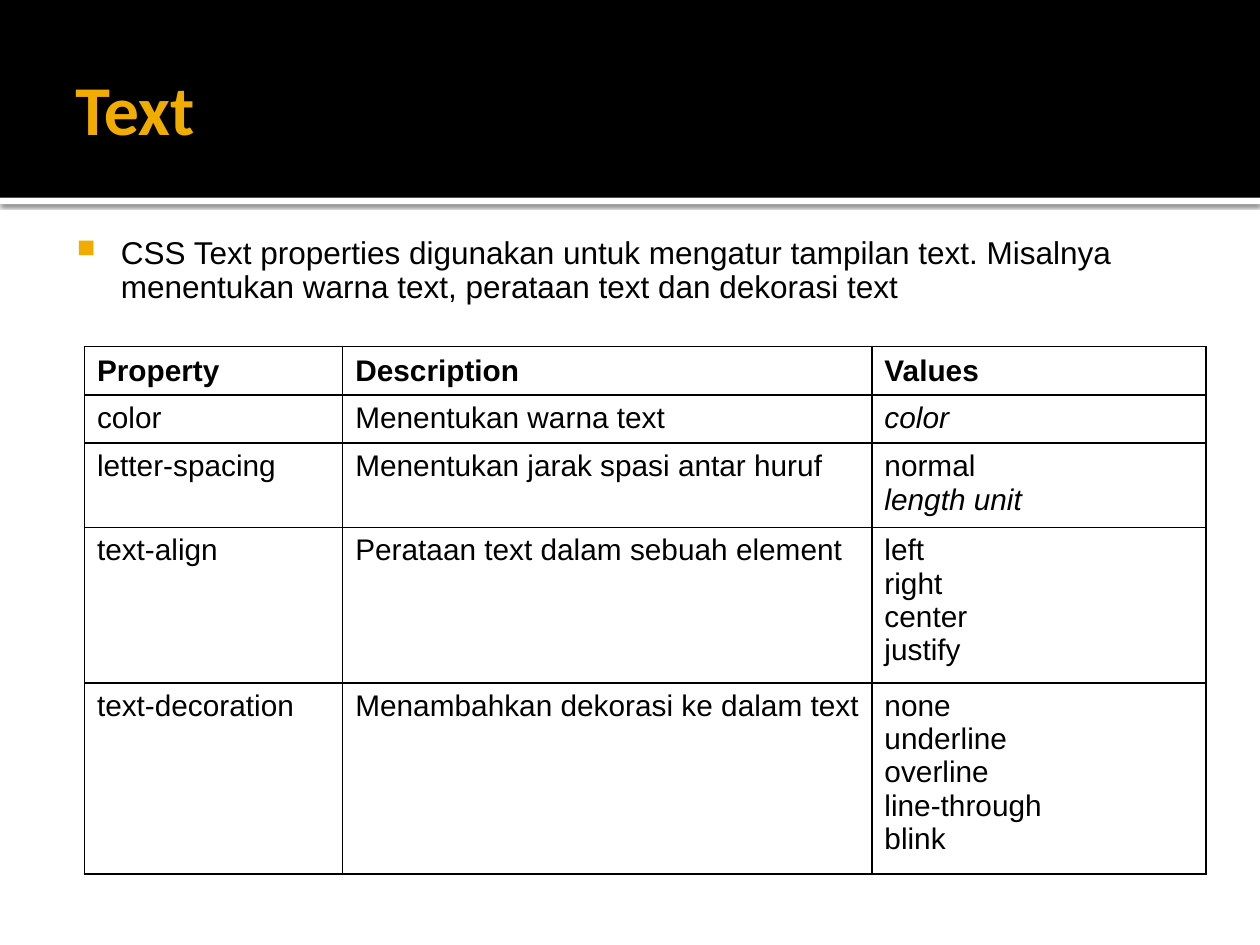
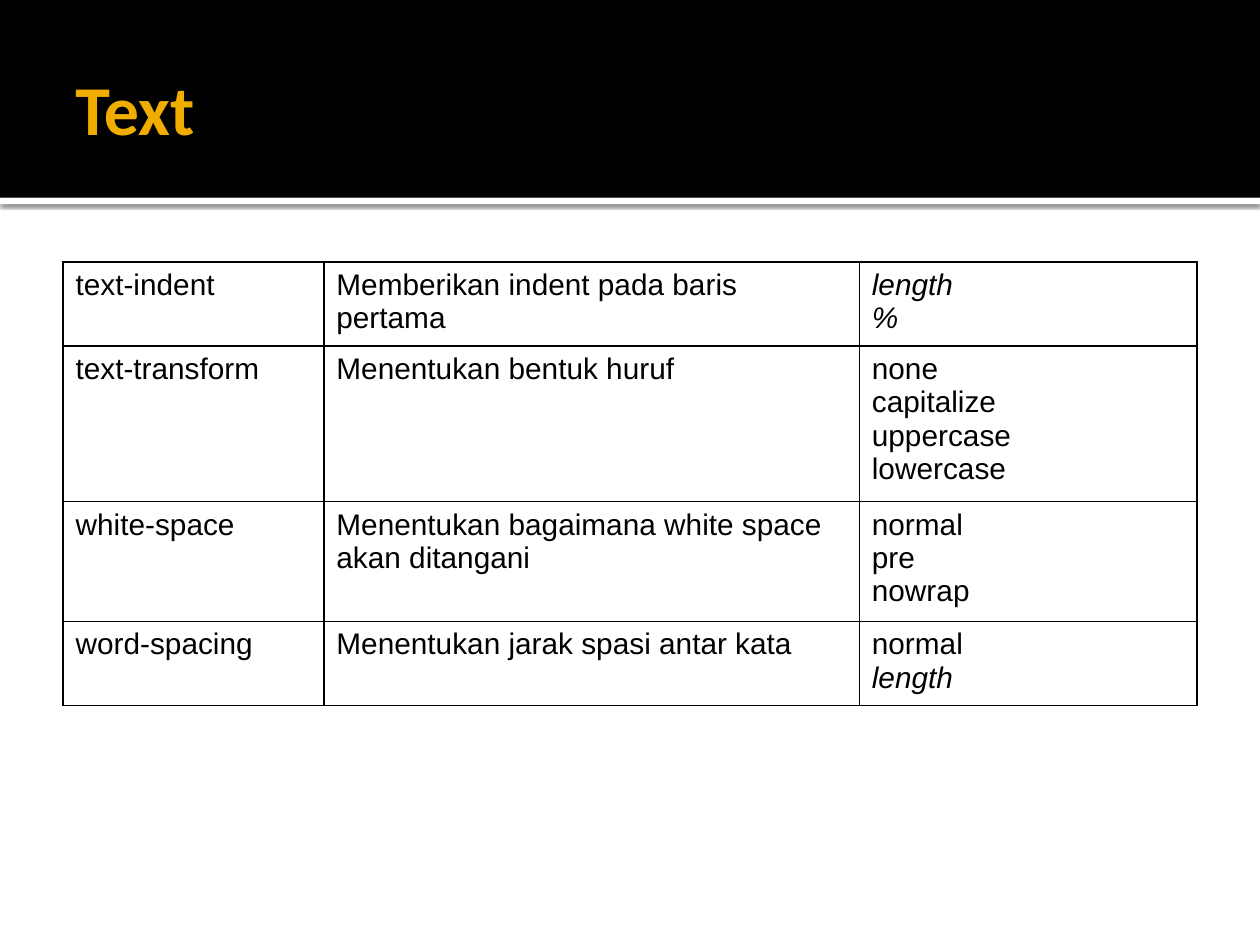
from dataclasses import dataclass

from pptx import Presentation
from pptx.dml.color import RGBColor
from pptx.enum.shapes import MSO_SHAPE as Shape
from pptx.enum.text import MSO_ANCHOR as Anchor
from pptx.oxml import parse_xml
from pptx.oxml.ns import nsdecls
from pptx.util import Emu, Inches, Pt


@dataclass(frozen=True)
class Theme:
    """Colours, fonts and type sizes of the slides."""
    black: str = "000000"
    white: str = "FFFFFF"
    accent: str = "F0AD00"
    title_font: str = "Calibri"
    body_font: str = "Arial"
    title_size: int = 40
    intro_size: int = 18
    table_size: int = 17
    border_width: int = 1


class Deck:
    """Holds the theme and the current slide and draws elements on it."""

    def __init__(self, theme):
        """Start an empty 10 by 7.5 inch presentation."""
        self.theme = theme
        self.presentation = Presentation()
        self.presentation.slide_width = Inches(10)
        self.presentation.slide_height = Inches(7.5)
        self.slide = None

    def add_slide(self, title):
        """Add a slide with its header band and title."""
        blank = self.presentation.slide_layouts[6]
        self.slide = self.presentation.slides.add_slide(blank)
        strip = self.band(1.57, 0.05, self.theme.white)
        self.cast_shadow(strip)
        self.band(0, 1.57, self.theme.black)
        self.title(title)

    def band(self, top, height, colour):
        """Draw a full-width band."""
        band = self.slide.shapes.add_shape(
            Shape.RECTANGLE, 0, Inches(top), self.presentation.slide_width, Inches(height))
        band.shadow.inherit = False
        band.fill.solid()
        band.fill.fore_color.rgb = RGBColor.from_string(colour)
        band.line.fill.background()
        return band

    def cast_shadow(self, band):
        """Give a band a soft shadow below it."""
        effects = band.element.spPr.find("{*}effectLst")
        effects.append(parse_xml(
            f'<a:outerShdw {nsdecls("a")} blurRad="{Pt(2.5)}" dist="{Pt(0.8)}" '
            f'dir="5400000" algn="t" rotWithShape="0"><a:srgbClr val="{self.theme.black}">'
            '<a:alpha val="60000"/></a:srgbClr></a:outerShdw>'))

    def text_box(self, place, insets, text):
        """Add a wrapping text box and return its frame."""
        frame = self.slide.shapes.add_textbox(*map(Inches, place)).text_frame
        frame.word_wrap = True
        (frame.margin_left, frame.margin_top,
         frame.margin_right, frame.margin_bottom) = map(Inches, insets)
        frame.text = text
        return frame

    def style(self, run, font, size, colour, bold=False, italic=False):
        """Format one run of text."""
        run.font.name = font
        run.font.size = Pt(size)
        run.font.color.rgb = RGBColor.from_string(colour)
        run.font.bold = bold
        run.font.italic = italic

    def title(self, text):
        """Write the slide title on the header band."""
        theme = self.theme
        frame = self.text_box((0.5, 0.17, 9, 1.37), (0.1, 0.05, 0.05, 0.05), text)
        frame.vertical_anchor = Anchor.MIDDLE
        self.style(frame.paragraphs[0].runs[0], theme.title_font, theme.title_size,
                   theme.accent, bold=True)

    def bullet(self, text):
        """Write the bulleted introduction below the header band."""
        theme = self.theme
        frame = self.text_box((0.42, 1.78, 9.2, 0.8), (0.06, 0.1, 0.1, 0.05), text)
        intro = frame.paragraphs[0]
        intro.line_spacing = 0.9
        properties = intro._p.get_or_add_pPr()
        properties.set("marL", str(Inches(0.48)))
        properties.set("indent", str(Inches(-0.35)))
        for mark in (f'<a:buClr {nsdecls("a")}><a:srgbClr val="{theme.accent}"/></a:buClr>',
                     f'<a:buSzPct {nsdecls("a")} val="80000"/>',
                     f'<a:buChar {nsdecls("a")} char="■"/>'):
            properties.append(parse_xml(mark))
        self.style(intro.runs[0], theme.body_font, theme.intro_size, theme.black)

    def table(self, left, top, widths, rows, header=False):
        """Add a property table; each row is name, description, values, line count."""
        heights = [Inches(0.1 + 0.26 * lines) for *_, lines in rows]
        table = self.slide.shapes.add_table(
            len(rows), len(widths), Inches(left), Inches(top),
            Inches(sum(widths)), Emu(sum(heights))).table
        table.first_row = header
        table.horz_banding = False
        for column, width in zip(table.columns, widths):
            column.width = Inches(width)
        for index, (row, height) in enumerate(zip(table.rows, heights)):
            row.height = height
            name, description, values, _ = rows[index]
            for cell, lines in zip(row.cells, ([name], [description], values)):
                self.cell(cell, lines, heading=header and index == 0)

    def cell(self, cell, lines, heading):
        """Fill a table cell; a line that starts with * is italic."""
        theme = self.theme
        self.border(cell)
        cell.fill.background()
        cell.vertical_anchor = Anchor.MIDDLE if heading else Anchor.TOP
        paragraph = cell.text_frame.paragraphs[0]
        paragraph.text = "\v".join(line.lstrip("*") for line in lines)
        for run, line in zip(paragraph.runs, lines):
            self.style(run, theme.body_font, theme.table_size, theme.black,
                       bold=heading, italic=line.startswith("*"))

    def border(self, cell):
        """Draw a thin line on all sides of a cell."""
        properties = cell._tc.get_or_add_tcPr()
        for side in "LRTB":
            properties.append(parse_xml(
                f'<a:ln{side} {nsdecls("a")} w="{Pt(self.theme.border_width)}"><a:solidFill>'
                f'<a:srgbClr val="{self.theme.black}"/></a:solidFill></a:ln{side}>'))


def main():
    """Build the two slides on CSS text properties."""
    deck = Deck(Theme())

    deck.add_slide("Text")
    deck.bullet("CSS Text properties digunakan untuk mengatur tampilan text. Misalnya "
                "menentukan warna text, perataan text dan dekorasi text")
    deck.table(0.67, 2.75, (2.05, 4.2, 2.65), [
        ("Property", "Description", ["Values"], 1),
        ("color", "Menentukan warna text", ["*color"], 1),
        ("letter-spacing", "Menentukan jarak spasi antar huruf",
         ["normal", "*length unit"], 2),
        ("text-align", "Perataan text dalam sebuah element",
         ["left", "right", "center", "justify"], 4),
        ("text-decoration", "Menambahkan dekorasi ke dalam text",
         ["none", "underline", "overline", "line-through", "blink"], 5),
    ], header=True)

    deck.add_slide("Text")
    deck.table(0.5, 2.08, (2.07, 4.25, 2.68), [
        ("text-indent", "Memberikan indent pada baris pertama", ["*length", "*%"], 2),
        ("text-transform", "Menentukan bentuk huruf",
         ["none", "capitalize", "uppercase", "lowercase"], 4),
        ("white-space", "Menentukan bagaimana white space akan ditangani",
         ["normal", "pre", "nowrap"], 3),
        ("word-spacing", "Menentukan jarak spasi antar kata", ["normal", "*length"], 2),
    ])

    deck.presentation.save("out.pptx")


if __name__ == "__main__":
    main()
